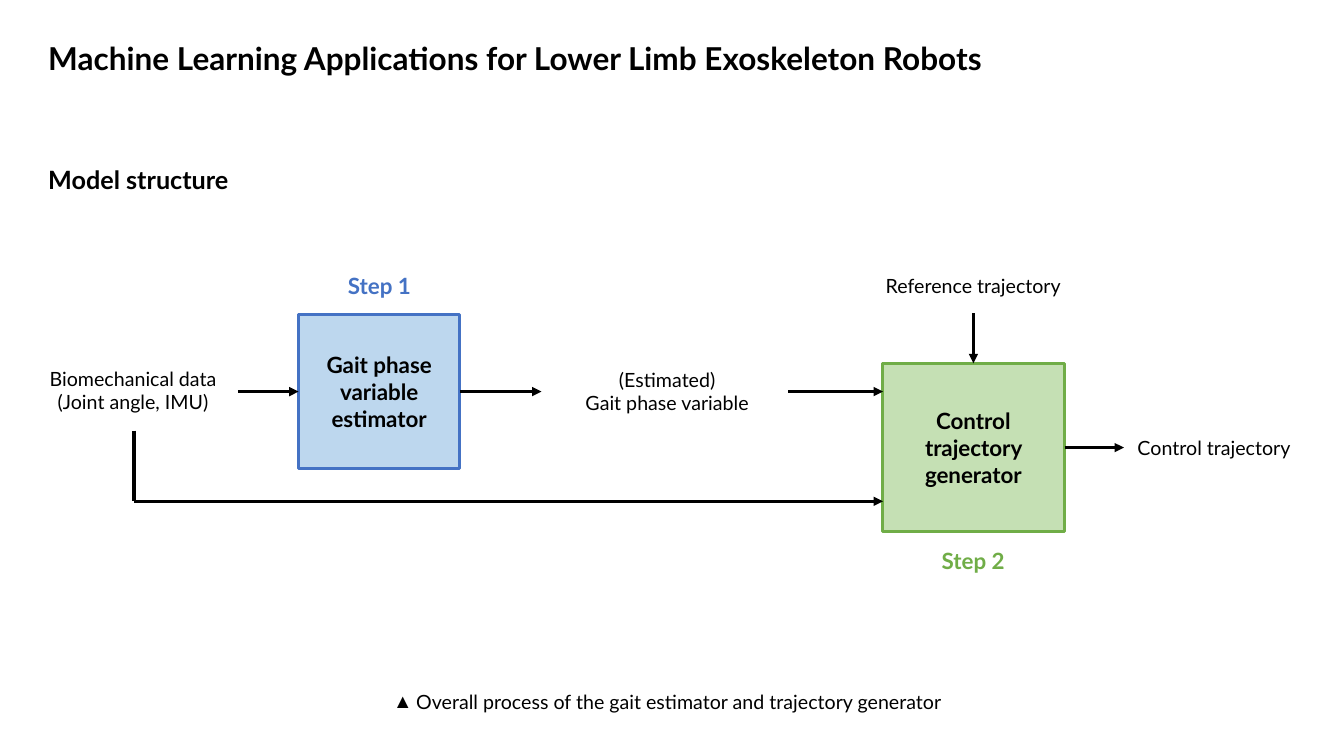
from dataclasses import dataclass

from lxml import etree
from pptx import Presentation
from pptx import util as u
from pptx.dml.color import RGBColor
from pptx.enum import shapes, text
from pptx.oxml.ns import qn

FONT = "Lato"
BULLET_FONT = "Arial"
COLOURS = {
    "black": "000000",
    "step 1": "4472C4",
    "step 1 fill": "BDD7EE",
    "step 2": "70AD47",
    "step 2 fill": "C5E0B4",
}
TOP, LEFT, BOTTOM, RIGHT = range(4)
CENTRE, START = text.PP_ALIGN.CENTER, text.PP_ALIGN.LEFT


@dataclass
class Label:
    words: str
    left: float
    top: float
    width: float
    height: float
    size: float = 14
    colour: str = "black"
    bold: bool = False
    align: text.PP_ALIGN = CENTRE
    bullet: str = ""


@dataclass
class Block:
    words: str
    left: float
    top: float
    width: float
    height: float
    colour: str


@dataclass
class Line:
    start: tuple[float, float]
    end: tuple[float, float]
    width: float = 2.25
    arrow: bool = True
    source: tuple[str, int] | None = None
    target: tuple[str, int] | None = None


TITLE = Label("Machine Learning Applications for Lower Limb Exoskeleton Robots",
              27.2, 24.5, 748.8, 37.4, 22.5, bold=True, align=START)
SECTION = Label("Model structure", 27.2, 113.6, 903.6, 30, 18, bold=True, align=START)

LABELS = [
    Label("Control trajectory", 805.4, 307.8, 130.3, 24.5, align=START),
    Label("(Estimated)\nGait phase variable", 386.6, 259.2, 180, 41),
    Label("Step 1", 205.9, 190.8, 130.3, 26.6, 16, "step 1", True),
    Label("Step 2", 601.9, 387, 186.5, 26.6, 16, "step 2", True),
    Label("Overall process of the gait estimator and trajectory generator",
          264.4, 489.3, 424.8, 24.5, bullet="▲"),
    Label("Biomechanical data\n(Joint angle, IMU)", 25.6, 258.5, 139, 41),
    Label("Reference trajectory", 602.8, 192.2, 185, 24.5),
]

BLOCKS = {
    "estimator": Block("Gait phase variable estimator", 213.3, 224.6, 115.2, 110.2, "step 1"),
    "generator": Block("Control trajectory generator", 630.2, 259.5, 130.2, 120.4, "step 2"),
}

FLOW_Y, OUTPUT_Y, BYPASS_Y = 279.7, 319.7, 358.1
BYPASS_X, GENERATOR_X, GENERATOR_LEFT = 95.8, 695.3, 630.7

LINES = [
    Line((169.9, FLOW_Y), (213.3, FLOW_Y), target=("estimator", LEFT)),
    Line((328.5, FLOW_Y), (386.8, FLOW_Y), source=("estimator", RIGHT)),
    Line((563, FLOW_Y), (GENERATOR_LEFT, FLOW_Y)),
    Line((GENERATOR_X, 223.9), (GENERATOR_X, 259.5), target=("generator", TOP)),
    Line((760.4, OUTPUT_Y), (802.8, OUTPUT_Y), source=("generator", RIGHT)),
    Line((BYPASS_X, 307.7), (BYPASS_X, BYPASS_Y), 3, False),
    Line((BYPASS_X, BYPASS_Y), (GENERATOR_LEFT, BYPASS_Y)),
]


def colour(name: str) -> RGBColor:
    return RGBColor.from_string(COLOURS[name])


def write(shape, words: str, size: float, colour_name: str, bold: bool, align) -> None:
    frame = shape.text_frame
    frame.text = words
    frame.word_wrap = True
    frame.auto_size = text.MSO_AUTO_SIZE.NONE
    for paragraph in frame.paragraphs:
        paragraph.alignment = align
        paragraph.space_before = u.Pt(0)
        for run in paragraph.runs:
            run.font.name = FONT
            run.font.size = u.Pt(size)
            run.font.bold = bold
            run.font.color.rgb = colour(colour_name)


def set_bullet(paragraph, bullet: str, indent: float) -> None:
    properties = paragraph._p.get_or_add_pPr()
    properties.set("marL", str(u.Pt(indent)))
    properties.set("indent", str(-u.Pt(indent)))
    if bullet:
        etree.SubElement(properties, qn("a:buFont")).set("typeface", BULLET_FONT)
        etree.SubElement(properties, qn("a:buChar")).set("char", bullet)
    else:
        etree.SubElement(properties, qn("a:buNone"))


def fill_placeholder(shape, label: Label) -> None:
    shape.left, shape.top = u.Pt(label.left), u.Pt(label.top)
    shape.width, shape.height = u.Pt(label.width), u.Pt(label.height)
    write(shape, label.words, label.size, label.colour, label.bold, label.align)


def add_label(slide, label: Label) -> None:
    shape = slide.shapes.add_textbox(u.Pt(label.left), u.Pt(label.top),
                                     u.Pt(label.width), u.Pt(label.height))
    write(shape, label.words, label.size, label.colour, label.bold, label.align)
    if label.bullet:
        set_bullet(shape.text_frame.paragraphs[0], label.bullet, 16.5)


def add_block(slide, block: Block):
    shape = slide.shapes.add_shape(shapes.MSO_SHAPE.RECTANGLE, u.Pt(block.left), u.Pt(block.top),
                                   u.Pt(block.width), u.Pt(block.height))
    shape.shadow.inherit = False
    shape.fill.solid()
    shape.fill.fore_color.rgb = colour(f"{block.colour} fill")
    shape.line.color.rgb = colour(block.colour)
    shape.line.width = u.Pt(2.25)
    write(shape, block.words, 16, "black", True, CENTRE)
    shape.text_frame.vertical_anchor = text.MSO_ANCHOR.MIDDLE
    return shape


def add_line(slide, line: Line, blocks: dict) -> None:
    points = [u.Pt(value) for value in (*line.start, *line.end)]
    connector = slide.shapes.add_connector(shapes.MSO_CONNECTOR.STRAIGHT, *points)
    connector.line.color.rgb = colour("black")
    connector.line.width = u.Pt(line.width)
    if line.source:
        name, side = line.source
        connector.begin_connect(blocks[name], side)
    if line.target:
        name, side = line.target
        connector.end_connect(blocks[name], side)
    if line.arrow:
        outline = connector.line._get_or_add_ln()
        etree.SubElement(outline, qn("a:tailEnd")).set("type", "triangle")
    etree.SubElement(connector._element.spPr, qn("a:effectLst"))


def main() -> None:
    presentation = Presentation()
    presentation.slide_width, presentation.slide_height = u.Pt(960), u.Pt(540)
    slide = presentation.slides.add_slide(presentation.slide_layouts[1])

    title, body = slide.shapes.title, slide.placeholders[1]
    fill_placeholder(title, TITLE)
    title.text_frame.vertical_anchor = text.MSO_ANCHOR.MIDDLE
    title.text_frame.paragraphs[0].line_spacing = 0.9
    fill_placeholder(body, SECTION)
    set_bullet(body.text_frame.paragraphs[0], "", 0)

    blocks = {name: add_block(slide, block) for name, block in BLOCKS.items()}
    for line in LINES:
        add_line(slide, line, blocks)
    for label in LABELS:
        add_label(slide, label)
    presentation.save("out.pptx")


if __name__ == "__main__":
    main()
